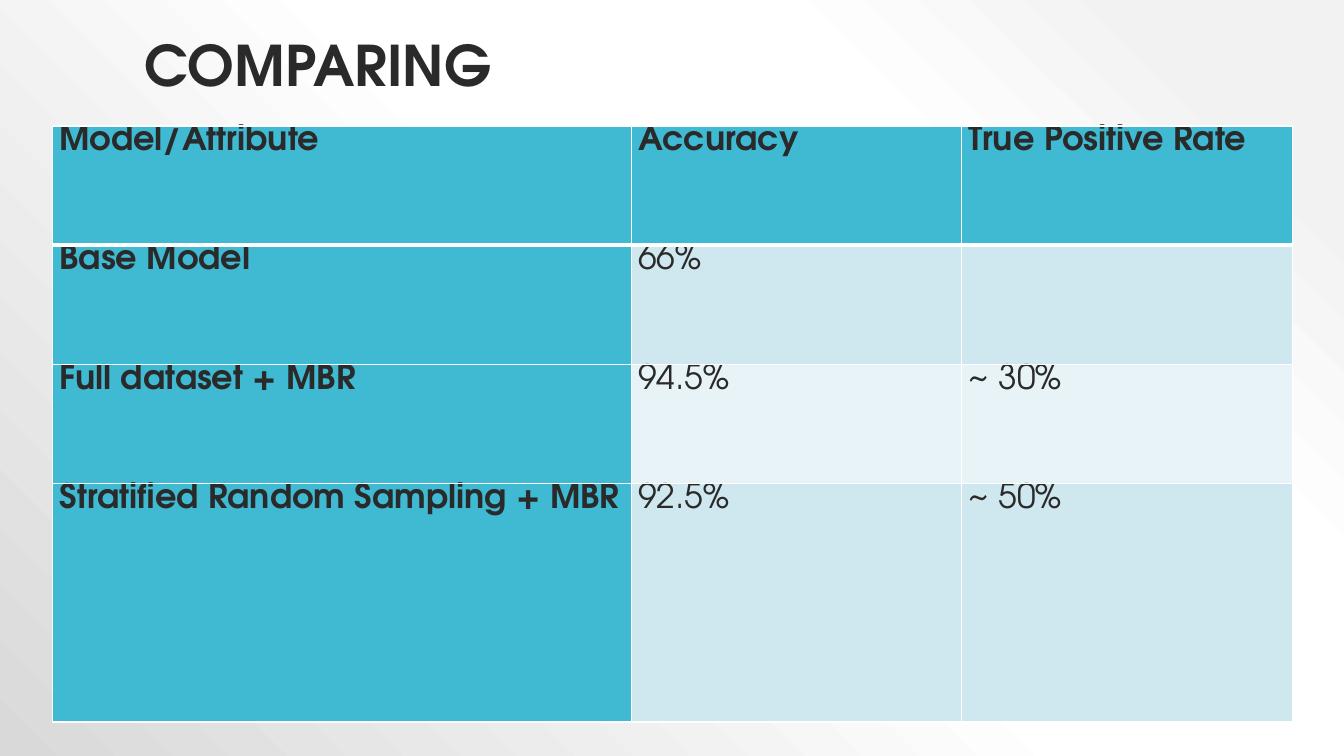
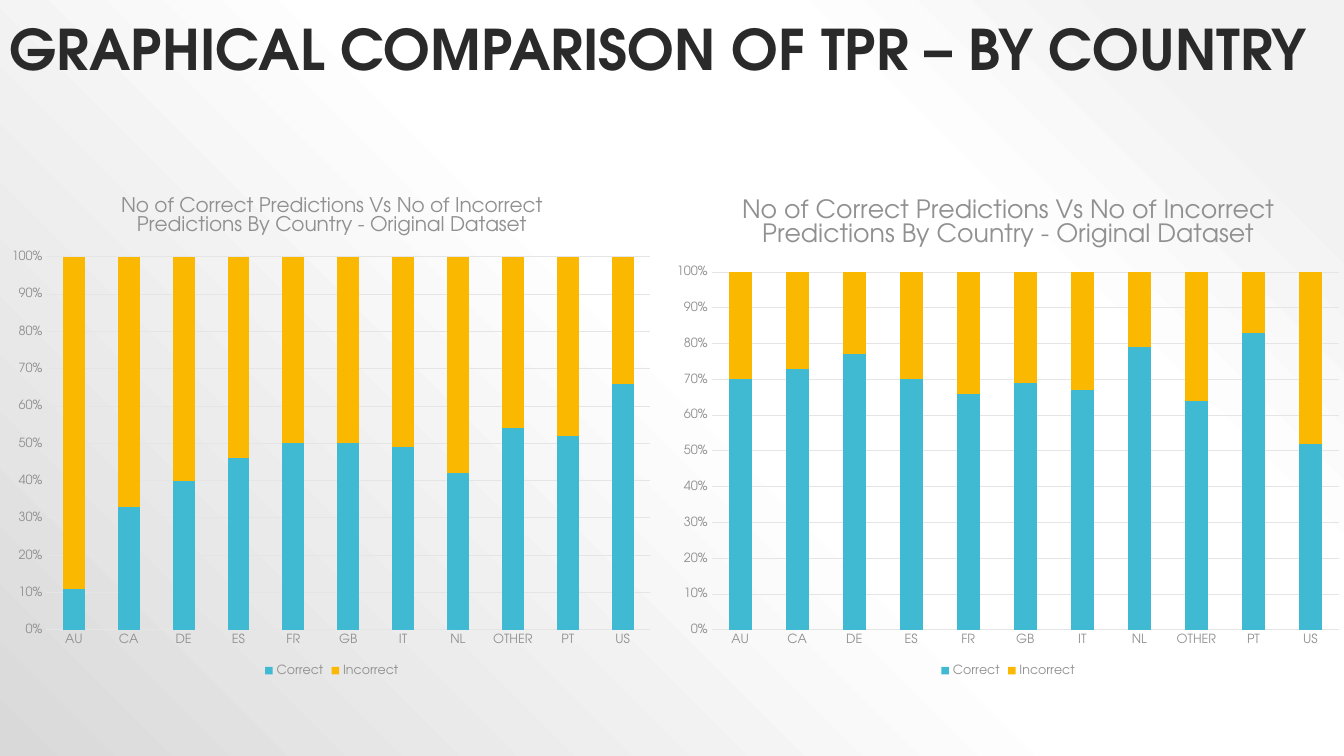
from dataclasses import dataclass

from pptx import Presentation
from pptx.chart.data import CategoryChartData
from pptx.dml.color import RGBColor
from pptx.enum.chart import XL_CHART_TYPE, XL_LEGEND_POSITION, XL_TICK_MARK
from pptx.enum.text import MSO_ANCHOR, PP_ALIGN
from pptx.oxml import parse_xml
from pptx.oxml.ns import nsdecls
from pptx.util import Inches, Pt

STACKED = XL_CHART_TYPE.COLUMN_STACKED_100
LEGEND_BOTTOM = XL_LEGEND_POSITION.BOTTOM
NO_TICK = XL_TICK_MARK.NONE
ANCHOR_BOTTOM = MSO_ANCHOR.BOTTOM
JUSTIFY = PP_ALIGN.JUSTIFY

SLIDE_WIDTH = Inches(13.33)
SLIDE_HEIGHT = Inches(7.5)


@dataclass(frozen=True)
class Theme:
    font: str = "TeX Gyre Adventor"
    ink: str = "2A2A2A"
    muted: str = "909090"
    rule: str = "E5E5E5"
    teal: str = "40BAD2"
    amber: str = "FAB900"
    band_dark: str = "CFE7EE"
    band_light: str = "E8F3F7"
    border: str = "FFFFFF"
    background: tuple = ((10, "F2F2F2"), (28, "FFFFFF"), (48, "FFFFFF"), (100, "D9D9D9"))
    title_size: int = 40
    table_size: int = 24
    axis_size: int = 9


THEME = Theme()

MODEL_ROWS = [
    ("Model/Attribute", "Accuracy", "True Positive Rate"),
    ("Base Model", "66%", ""),
    ("Full dataset + MBR", "94.5%", "~ 30%"),
    ("Stratified Random Sampling + MBR", "92.5%", "~ 50%"),
]
COUNTRIES = ["AU", "CA", "DE", "ES", "FR", "GB", "IT", "NL", "OTHER", "PT", "US"]
CORRECT_LEFT = [11, 33, 40, 46, 50, 50, 49, 42, 54, 52, 66]
CORRECT_RIGHT = [70, 73, 77, 70, 66, 69, 67, 79, 64, 83, 52]
CHART_TITLE = "No of Correct Predictions Vs No of Incorrect Predictions By Country - Original Dataset"


# Lengths as percentages of the slide
def across(percent):
    return round(SLIDE_WIDTH * percent / 100)


def down(percent):
    return round(SLIDE_HEIGHT * percent / 100)


def area(left, top, width, height):
    return across(left), down(top), across(width), down(height)


# Shared styling
def style_font(font, size, color, bold=False):
    font.name = THEME.font
    font.size = Pt(size)
    font.bold = bold
    font.color.rgb = RGBColor.from_string(color)


def style_line(line, color):
    line.color.rgb = RGBColor.from_string(color)
    line.width = Pt(0.75)


def set_background(master):
    stops = "".join(
        f'<a:gs pos="{position * 1000}"><a:srgbClr val="{color}"/></a:gs>'
        for position, color in THEME.background
    )
    background = parse_xml(
        f'<p:bg {nsdecls("p", "a")}><p:bgPr>'
        f'<a:gradFill rotWithShape="1"><a:gsLst>{stops}</a:gsLst>'
        '<a:path path="circle"><a:fillToRect l="100000" b="100000"/></a:path></a:gradFill>'
        '<a:effectLst/></p:bgPr></p:bg>'
    )
    slide_data = master.element.cSld
    for current in slide_data.xpath("./p:bg"):
        slide_data.remove(current)
    slide_data.insert(0, background)


def add_titled_slide(presentation, title, left, width, height):
    slide = presentation.slides.add_slide(presentation.slide_layouts[6])
    box = slide.shapes.add_textbox(*area(left, 0, width, height))
    frame = box.text_frame
    frame.word_wrap = True
    frame.vertical_anchor = ANCHOR_BOTTOM
    frame.text = title
    paragraph = frame.paragraphs[0]
    paragraph.line_spacing = 0.9
    style_font(paragraph.runs[0].font, THEME.title_size, THEME.ink, bold=True)
    return slide


# Table
def set_borders(cell, top, bottom):
    properties = cell._tc.get_or_add_tcPr()
    widths = {"L": 1, "R": 1, "T": top, "B": bottom}
    for index, (side, width) in enumerate(widths.items()):
        properties.insert(index, parse_xml(
            f'<a:ln{side} {nsdecls("a")} w="{Pt(width)}"><a:solidFill>'
            f'<a:srgbClr val="{THEME.border}"/></a:solidFill></a:ln{side}>'
        ))


def fill_cell(cell, text, color, bold):
    cell.margin_left = cell.margin_right = Inches(0.07)
    cell.margin_top = cell.margin_bottom = 0
    cell.fill.solid()
    cell.fill.fore_color.rgb = RGBColor.from_string(color)
    cell.text_frame.text = text
    paragraph = cell.text_frame.paragraphs[0]
    paragraph.alignment = JUSTIFY
    for run in paragraph.runs:
        style_font(run.font, THEME.table_size, THEME.ink, bold)


def add_model_table(slide, rows, left, top, column_widths, row_heights):
    table = slide.shapes.add_table(
        len(rows), len(column_widths),
        *area(left, top, sum(column_widths), sum(row_heights)),
    ).table
    table.horz_banding = False
    for column, width in zip(table.columns, column_widths):
        column.width = across(width)
    for row, height in zip(table.rows, row_heights):
        row.height = down(height)
    for row_index, texts in enumerate(rows):
        band = THEME.band_dark if row_index % 2 else THEME.band_light
        for column_index, text in enumerate(texts):
            heading = row_index == 0 or column_index == 0
            cell = table.cell(row_index, column_index)
            fill_cell(cell, text, THEME.teal if heading else band, heading)
            set_borders(cell, top=3 if row_index == 1 else 1, bottom=3 if row_index == 0 else 1)


# Charts
def set_plot_area(chart, left, top, width, height):
    plot_area = chart.element.xpath(".//c:plotArea")[0]
    for layout in plot_area.xpath("./c:layout"):
        plot_area.remove(layout)
    shares = "".join(
        f'<c:{name} val="{value}"/>'
        for name, value in (("x", left), ("y", top), ("w", width), ("h", height))
    )
    plot_area.insert(0, parse_xml(
        f'<c:layout {nsdecls("c")}><c:manualLayout><c:layoutTarget val="inner"/>'
        f'<c:xMode val="edge"/><c:yMode val="edge"/>{shares}</c:manualLayout></c:layout>'
    ))


def style_axes(chart):
    category_axis, value_axis = chart.category_axis, chart.value_axis
    for axis in (category_axis, value_axis):
        axis.major_tick_mark = axis.minor_tick_mark = NO_TICK
        style_font(axis.tick_labels.font, THEME.axis_size, THEME.muted)
    style_line(category_axis.format.line, THEME.rule)
    value_axis.format.line.fill.background()
    value_axis.has_major_gridlines = True
    style_line(value_axis.major_gridlines.format.line, THEME.rule)
    value_axis.minimum_scale, value_axis.maximum_scale = 0, 1
    value_axis.major_unit = 0.1
    value_axis.tick_labels.number_format = "0%"
    value_axis.tick_labels.number_format_is_linked = False


def add_country_chart(slide, correct, left, width, title_size, plot_top):
    data = CategoryChartData()
    data.categories = COUNTRIES
    data.add_series("Correct", correct)
    data.add_series("Incorrect", [100 - value for value in correct])
    chart = slide.shapes.add_chart(STACKED, *area(left, 23.33, width, 66.67), data).chart
    style_font(chart.font, THEME.axis_size, THEME.muted)

    chart.has_title = True
    title_frame = chart.chart_title.text_frame
    title_frame.text = CHART_TITLE
    style_font(title_frame.paragraphs[0].runs[0].font, title_size, THEME.muted)

    chart.has_legend = True
    chart.legend.position = LEGEND_BOTTOM
    chart.legend.include_in_layout = False
    style_font(chart.legend.font, THEME.axis_size, THEME.muted)

    plot = chart.plots[0]
    plot.gap_width, plot.overlap = 150, 100
    plot.vary_by_categories = False
    for series, color in zip(plot.series, (THEME.teal, THEME.amber)):
        series.format.fill.solid()
        series.format.fill.fore_color.rgb = RGBColor.from_string(color)
    style_axes(chart)
    set_plot_area(chart, 0.07, plot_top, 0.91, round(0.9 - plot_top, 2))


def main():
    presentation = Presentation()
    presentation.slide_width = SLIDE_WIDTH
    presentation.slide_height = SLIDE_HEIGHT
    set_background(presentation.slide_master)

    # Model comparison
    slide = add_titled_slide(presentation, "COMPARING", left=10, width=80, height=13.7)
    add_model_table(
        slide, MODEL_ROWS, left=3.9, top=16.67,
        column_widths=[43.06, 24.6, 24.6], row_heights=[15.75, 15.75, 15.75, 31.6],
    )

    # Country comparison
    slide = add_titled_slide(
        presentation, "GRAPHICAL COMPARISON OF TPR – BY COUNTRY", left=0, width=100, height=11.6
    )
    left_width = 49.36
    add_country_chart(slide, CORRECT_LEFT, 0, left_width, title_size=14.4, plot_top=0.16)
    add_country_chart(slide, CORRECT_RIGHT, left_width, 51.3, title_size=18, plot_top=0.19)

    presentation.save("out.pptx")


if __name__ == "__main__":
    main()
